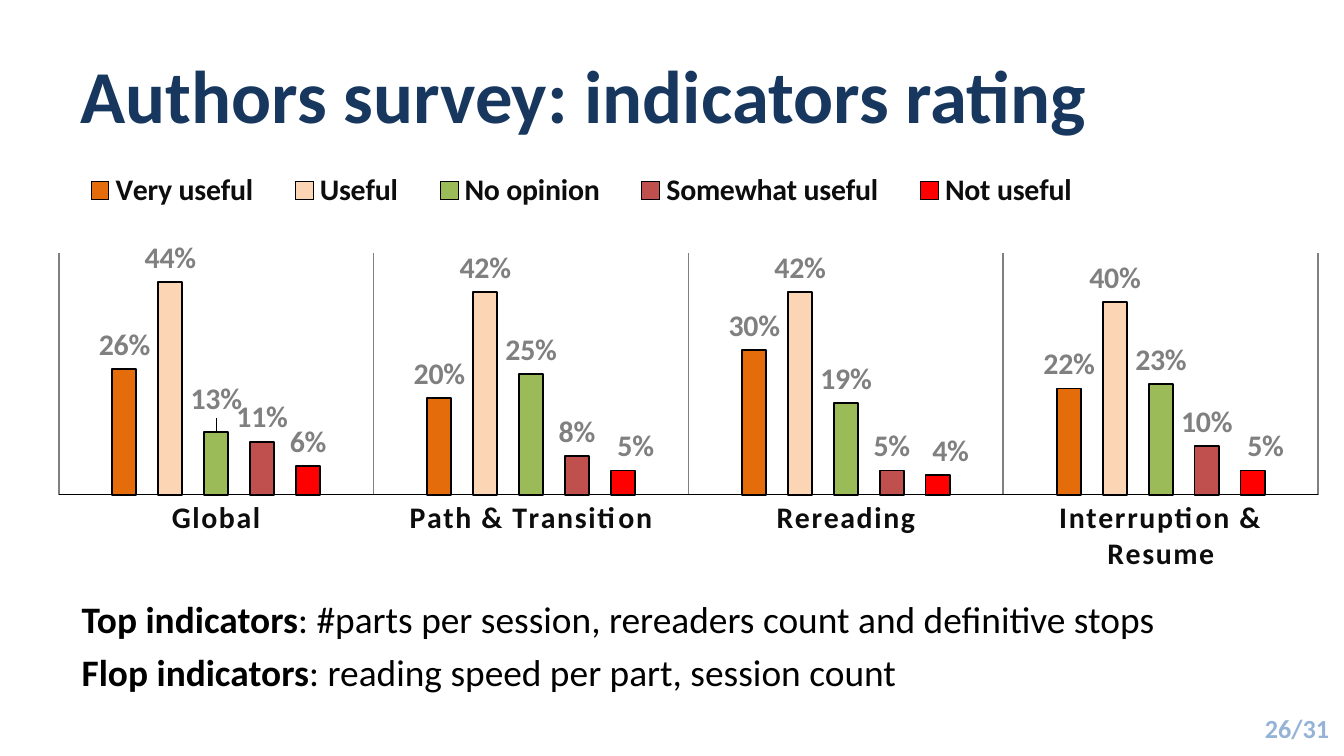
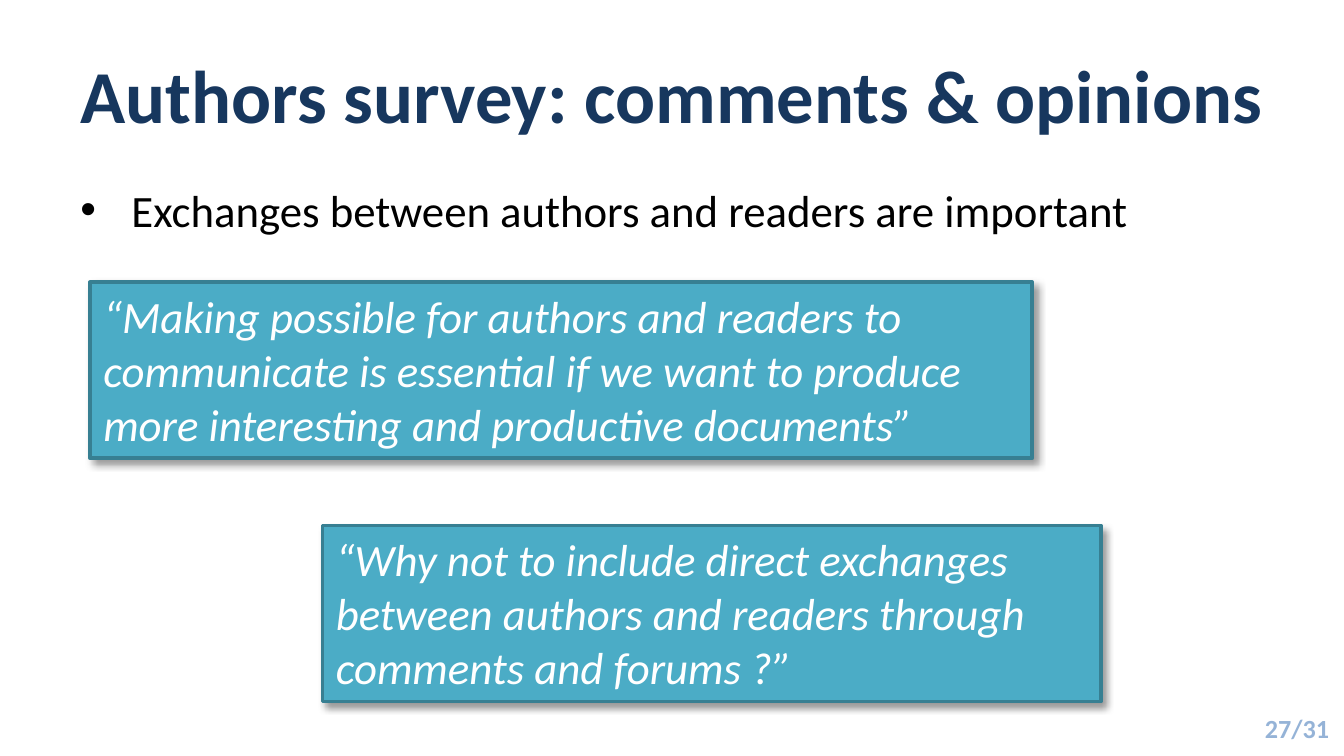
from lxml.etree import SubElement
from pptx import Presentation
from pptx.chart.data import CategoryChartData as ChartData
from pptx.dml.color import RGBColor
from pptx.enum.chart import XL_CHART_TYPE as Kind, XL_LABEL_POSITION as Spot
from pptx.enum.chart import XL_LEGEND_POSITION as Side, XL_TICK_MARK as Tick
from pptx.enum.shapes import MSO_SHAPE as Form
from pptx.enum.text import MSO_ANCHOR as Anchor, PP_ALIGN as Align
from pptx.oxml import parse_xml
from pptx.oxml.ns import nsdecls, qn
from pptx.util import Inches, Pt

FONT = "Calibri"
NAVY = RGBColor(0x17, 0x37, 0x5E)
PALE = RGBColor(0x95, 0xB3, 0xD7)
BLACK = RGBColor(0, 0, 0)
INK = RGBColor(0x0D, 0x0D, 0x0D)
GRAY = RGBColor(0x80, 0x80, 0x80)
WHITE = RGBColor(0xFF, 0xFF, 0xFF)
TEAL = RGBColor(0x4B, 0xAC, 0xC6)
DEEP = RGBColor(0x37, 0x7F, 0x92)
ORANGE = RGBColor(0xE4, 0x6C, 0x0A)
PEACH = RGBColor(0xFC, 0xD5, 0xB5)
GREEN = RGBColor(0x9B, 0xBB, 0x59)
BRICK = RGBColor(0xC0, 0x50, 0x4D)
RED = RGBColor(0xFF, 0, 0)

TOPICS = ["Global", "Path & Transition", "Rereading", "Interruption & Resume"]
RATINGS = [
    ("Very useful", ORANGE, [0.26, 0.20, 0.30, 0.22]),
    ("Useful", PEACH, [0.44, 0.42, 0.42, 0.40]),
    ("No opinion", GREEN, [0.13, 0.25, 0.19, 0.23]),
    ("Somewhat useful", BRICK, [0.11, 0.08, 0.05, 0.10]),
    ("Not useful", RED, [0.06, 0.05, 0.04, 0.05]),
]
NUDGES = {
    "No opinion": {0: (0, -0.02)},
    "Not useful": {0: (0, 0), 1: (0.01, 0), 2: (0.01, 0), 3: (0.01, 0)},
}
EDGES = [("xMode", "edge"), ("yMode", "edge")]
NO_LEADER = (
    f"<c:extLst {nsdecls('c')}>"
    '<c:ext uri="{CE6537A1-D6FC-4f65-9D91-7224C49458BB}" '
    'xmlns:c15="http://schemas.microsoft.com/office/drawing/2012/chart">'
    '<c15:showLeaderLines val="0"/></c:ext></c:extLst>')


def style(font, size, color, bold=False, italic=False):
    font.name, font.size = FONT, Pt(size)
    font.bold, font.italic = bold, italic
    font.color.rgb = color


def write(frame, text, size=24, color=BLACK, bold=False, italic=False,
          align=Align.LEFT, anchor=Anchor.TOP, before=0, bullet=False):
    frame.word_wrap = True
    frame.vertical_anchor = anchor
    lines = [text] if isinstance(text, str) else text
    for n, line in enumerate(lines):
        para = frame.paragraphs[0] if n == 0 else frame.add_paragraph()
        para.alignment = align
        para.space_before = Pt(before)
        if bullet:
            props = para._p.get_or_add_pPr()
            props.set("marL", str(Inches(0.38)))
            props.set("indent", str(Inches(-0.38)))
            SubElement(props, qn("a:buFont"), typeface="Arial")
            SubElement(props, qn("a:buChar"), char="•")
        parts = [(line, bold)] if isinstance(line, str) else line
        for words, heavy in parts:
            run = para.add_run()
            run.text = words
            style(run.font, size, color, heavy, italic)


def place(node, index, modes=(), **sizes):
    for old in node.findall(qn("c:layout")):
        node.remove(old)
    layout = parse_xml(f"<c:layout {nsdecls('c')}><c:manualLayout/></c:layout>")
    for tag, value in [*modes, *sizes.items()]:
        SubElement(layout[0], qn(f"c:{tag}"), val=str(value))
    node.insert(index, layout)


class Deck:
    def __init__(self):
        self.prs = Presentation()
        self.prs.slide_width = Inches(10)
        self.prs.slide_height = Inches(10 * 9 / 16)
        self.slide = None

    def page(self, title, number, top, width, height):
        self.slide = self.prs.slides.add_slide(self.prs.slide_layouts[6])
        foot = self.text(f"{number}/31", 8.39, 5.27, 1.5, 0.3, size=14,
                         color=PALE, bold=True, align=Align.RIGHT,
                         anchor=Anchor.MIDDLE)
        foot.margin_left = foot.margin_right = 0
        self.text(title, 0.5, top, width, height, size=40, color=NAVY,
                  bold=True, anchor=Anchor.MIDDLE)

    def text(self, words, left, top, width, height, **form):
        box = self.slide.shapes.add_textbox(
            Inches(left), Inches(top), Inches(width), Inches(height))
        write(box.text_frame, words, **form)
        return box.text_frame

    def quote(self, words, left, top, width, height=1.31):
        box = self.slide.shapes.add_shape(
            Form.RECTANGLE, Inches(left), Inches(top), Inches(width), Inches(height))
        box.fill.solid()
        box.fill.fore_color.rgb = TEAL
        box.line.color.rgb = DEEP
        box.line.width = Pt(2)
        box.shadow.inherit = False
        effects = box._element.spPr.find(qn("a:effectLst"))
        shade = SubElement(effects, qn("a:outerShdw"), blurRad=str(Pt(4)),
                           dist=str(Pt(3)), dir="2700000", algn="tl", rotWithShape="0")
        tint = SubElement(shade, qn("a:srgbClr"), val=str(BLACK))
        SubElement(tint, qn("a:alpha"), val="40000")
        write(box.text_frame, words, color=WHITE, italic=True)

    def bars(self, left, top, width, height):
        data = ChartData(number_format="0%")
        data.categories = TOPICS
        for name, _, values in RATINGS:
            data.add_series(name, values)
        chart = self.slide.shapes.add_chart(
            Kind.COLUMN_CLUSTERED, Inches(left), Inches(top),
            Inches(width), Inches(height), data).chart
        style(chart.font, 16, BLACK, True)
        chart.has_title = False
        chart.has_legend = True
        legend = chart.legend
        legend.position = Side.TOP
        legend.include_in_layout = False
        style(legend.font, 16, INK, True)
        place(legend._element, 1, EDGES, x=0, y=0, w=0.81, h=0.11)
        area = chart._chartSpace.chart.plotArea
        place(area, 0, [("layoutTarget", "inner"), *EDGES],
              x=0, y=0.2, w=0.976, h=0.556)
        self.axes(chart)
        plot = chart.plots[0]
        plot.gap_width, plot.overlap = 444, -90
        plot.vary_by_categories = False
        for series, (name, color, _) in zip(plot.series, RATINGS):
            self.series(series, color, NUDGES.get(name, {}))

    def axes(self, chart):
        scale = chart.value_axis
        scale.minimum_scale, scale.maximum_scale = 0, 0.5
        scale.has_major_gridlines = False
        scale.visible = False
        axis = chart.category_axis
        axis.major_tick_mark = axis.minor_tick_mark = Tick.NONE
        axis.format.line.color.rgb = BLACK
        axis.format.line.width = Pt(0.75)
        axis.has_major_gridlines = True
        grid = axis.major_gridlines.format.line
        grid.color.rgb = GRAY
        grid.width = Pt(1)
        style(axis.tick_labels.font, 16, INK, True)
        axis._element.xpath(".//a:defRPr")[0].set("spc", "100")

    def series(self, series, color, nudges):
        series.format.fill.solid()
        series.format.fill.fore_color.rgb = color
        series.format.line.color.rgb = BLACK
        series.format.line.width = Pt(1)
        labels = series.data_labels
        labels.show_value = True
        labels.number_format = "0%"
        labels.number_format_is_linked = False
        labels.position = Spot.OUTSIDE_END
        style(labels.font, 16, GRAY, True)
        for n in nudges:
            label = series.points[n].data_label
            label.position = Spot.OUTSIDE_END
            style(label.font, 16, GRAY, True)
        group = series._element.find(qn("c:dLbls"))
        for node, (x, y) in zip(group.findall(qn("c:dLbl")), nudges.values()):
            place(node, 1, x=x, y=y)
        group.append(parse_xml(NO_LEADER))


def main():
    deck = Deck()
    deck.page("Authors survey: indicators rating", 26, 0.31, 9, 0.77)
    deck.text([
        [("Top indicators", True),
         (": #parts per session, rereaders count and definitive stops", False)],
        [("Flop indicators", True),
         (": reading speed per part, session count", False)],
    ], 0.51, 4.39, 9, 0.72, size=20, before=4)
    deck.bars(0.43, 1.24, 9.61, 3.23)

    deck.page("Authors survey: comments & opinions", 27, 0.23, 9.3, 0.94)
    deck.text("Exchanges between authors and readers are important",
              0.5, 1.31, 9, 0.87, before=4.8, bullet=True)
    deck.quote("“Making possible for authors and readers to communicate is essential "
               "if we want to produce more interesting and productive documents”",
               0.67, 2.1, 7.01)
    deck.quote("“Why not to include direct exchanges between authors and readers "
               "through comments and forums ?”", 2.4, 3.91, 5.79)
    deck.prs.save("out.pptx")


if __name__ == "__main__":
    main()
